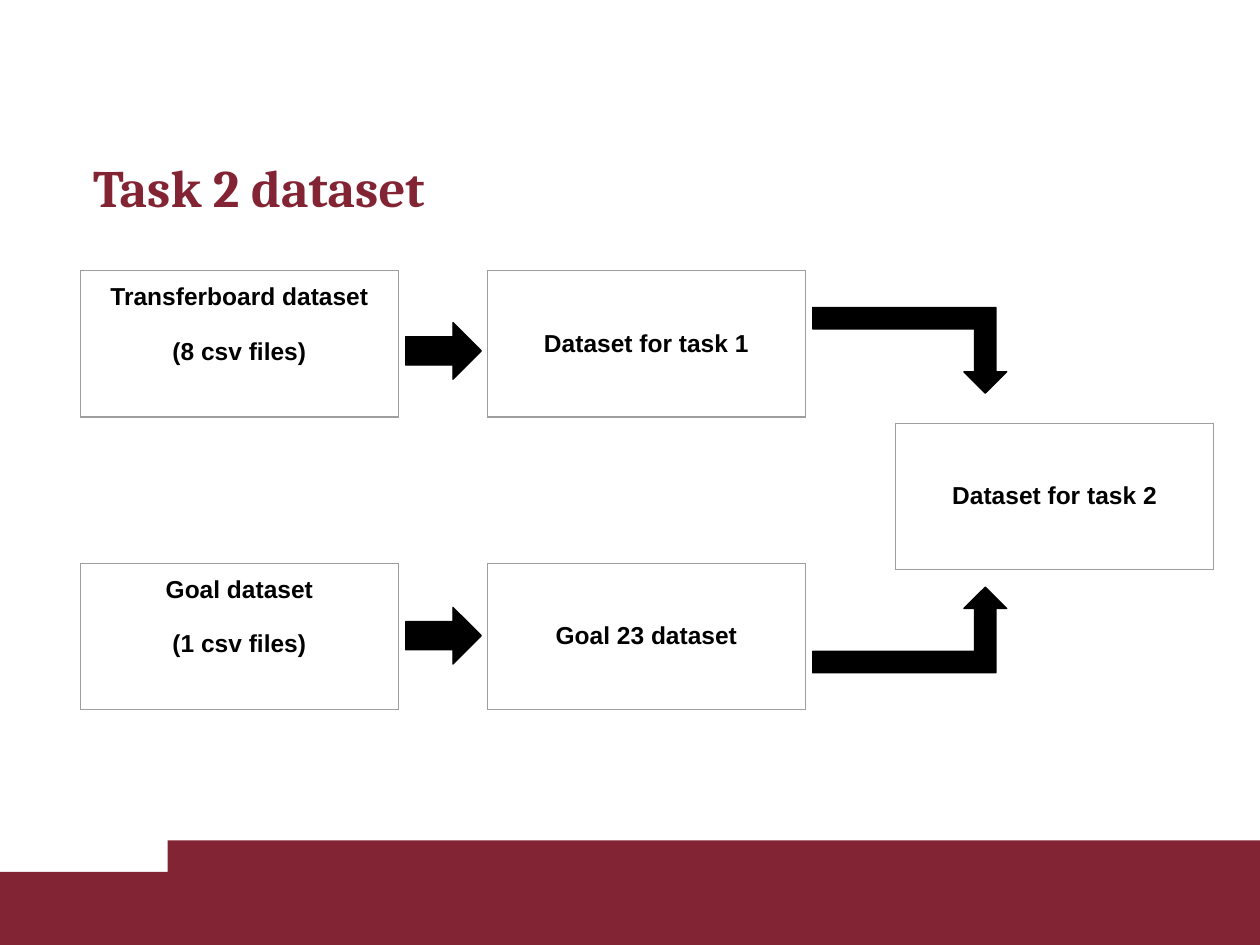
import pptx
import pptx.util
import pptx.dml.color
import pptx.enum.shapes
import pptx.enum.text
import pptx.oxml
import pptx.oxml.ns

Inches = pptx.util.Inches
Pt = pptx.util.Pt
RGB = pptx.dml.color.RGBColor.from_string
MSO = pptx.enum.shapes.MSO_SHAPE
ANCHOR = pptx.enum.text.MSO_ANCHOR
COLORS = {"maroon": "822433", "black": "000000", "border": "9E9E9E"}

prs = pptx.Presentation()
prs.slide_width, prs.slide_height = Inches(10), Inches(7.5)
s = prs.slides.add_slide(prs.slide_layouts[6])


def add_shape(kind, x, y, w, h, color, outlined=False):
    sp = s.shapes.add_shape(kind, Inches(x), Inches(y), Inches(w), Inches(h))
    sp.shadow.inherit = False
    sp.fill.solid()
    sp.fill.fore_color.rgb = RGB(COLORS[color])
    if outlined:
        sp.line.color.rgb = RGB(COLORS[color])
        sp.line.width = Pt(0.75)
    else:
        sp.line.fill.background()
    return sp


def style(p, name, size, color):
    p.font.name = name
    p.font.size = Pt(size)
    p.font.bold = True
    p.font.color.rgb = RGB(COLORS[color])


add_shape(MSO.RECTANGLE, 0, 6.92, 10, 0.58, "maroon")
add_shape(MSO.RECTANGLE, 1.33, 6.67, 8.67, 0.83, "maroon")

tf = s.shapes.add_textbox(Inches(0.64), Inches(1.18), Inches(8.5), Inches(0.51)).text_frame
tf.word_wrap = True
tf.text = "Task 2 dataset"
style(tf.paragraphs[0], "Cambria", 30, "maroon")

boxes = [
    (0.64, 2.15, ["Transferboard dataset", "(8 csv files)"]),
    (3.87, 2.15, ["Dataset for task 1"]),
    (7.11, 3.36, ["Dataset for task 2"]),
    (0.64, 4.47, ["Goal dataset", "(1 csv files)"]),
    (3.87, 4.47, ["Goal 23 dataset"]),
]
for x, y, lines in boxes:
    tbl = s.shapes.add_table(1, 1, Inches(x), Inches(y), Inches(2.52), Inches(1.16)).table
    tbl.first_row = tbl.horz_banding = False
    cell = tbl.cell(0, 0)
    cell.margin_left = cell.margin_right = cell.margin_top = cell.margin_bottom = Inches(0.1)
    cell.vertical_anchor = ANCHOR.MIDDLE if len(lines) == 1 else ANCHOR.TOP
    cell.text = "\n".join(lines)
    for p in cell.text_frame.paragraphs:
        p.alignment = pptx.enum.text.PP_ALIGN.CENTER
        style(p, "Arial", 14, "black")
    if len(lines) > 1:
        cell.text_frame.paragraphs[0].space_after = Pt(15.5)
    tcPr = cell._tc.get_or_add_tcPr()
    for side in ("lnL", "lnR", "lnT", "lnB"):
        tcPr.append(pptx.oxml.parse_xml(
            f'<a:{side} {pptx.oxml.ns.nsdecls("a")} w="{Pt(0.75)}"><a:solidFill>'
            f'<a:srgbClr val="{COLORS["border"]}"/></a:solidFill></a:{side}>'))
    cell.fill.background()

for y in (2.56, 4.82):
    add_shape(MSO.RIGHT_ARROW, 3.22, y, 0.6, 0.45, "black", True)

down = add_shape(MSO.BENT_UP_ARROW, 6.45, 2.44, 1.54, 0.68, "black", True)
down.rotation = 180
down._element.spPr.xfrm.set("flipH", "1")
add_shape(MSO.BENT_UP_ARROW, 6.45, 4.66, 1.54, 0.68, "black", True)

prs.save("out.pptx")
